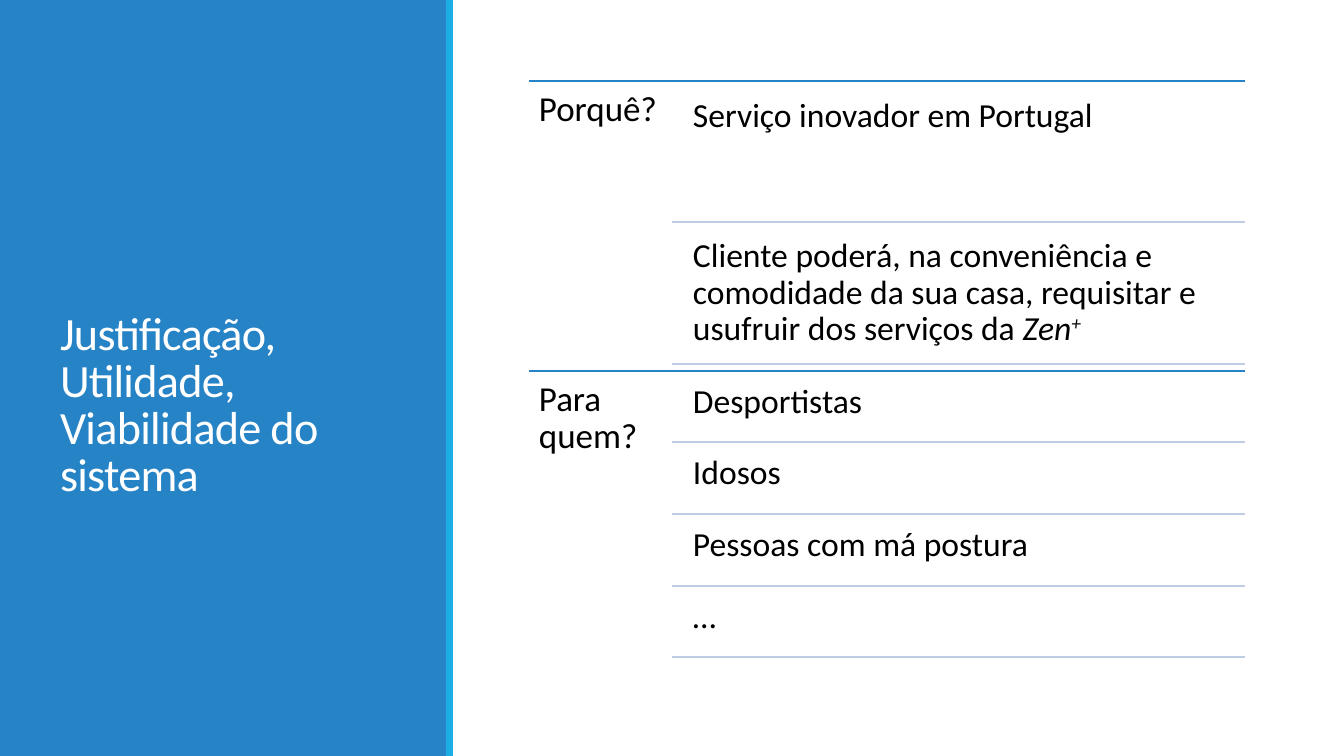
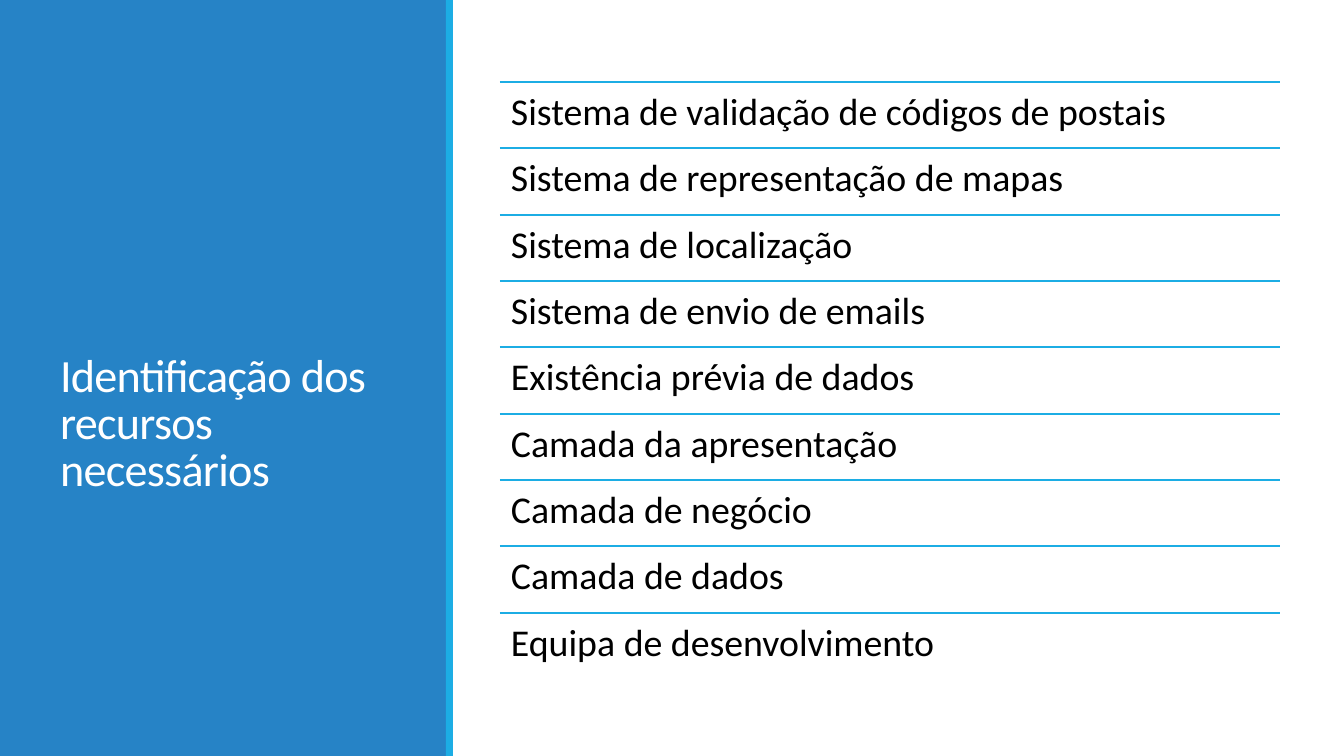
from dataclasses import dataclass

from pptx import Presentation
from pptx.dml.color import RGBColor
from pptx.enum import shapes, text
from pptx.oxml.ns import qn
from pptx.slide import Slide
from pptx.util import Emu, Pt

# Scale, colours and shared style
PIXELS_PER_INCH = 100.8
SLIDE_WIDTH, SLIDE_HEIGHT = 1344, 756
BLUE = RGBColor(0x26, 0x83, 0xC6)
CYAN = RGBColor(0x1C, 0xAD, 0xE4)
PALE_BLUE = RGBColor(0xBE, 0xCD, 0xE5)
BLACK = RGBColor(0x00, 0x00, 0x00)
WHITE = RGBColor(0xFF, 0xFF, 0xFF)
FONT = "Calibri"


@dataclass(frozen=True)
class Box:
    left: int
    top: int
    width: int
    height: int


@dataclass(frozen=True)
class Run:
    text: str
    italic: bool = False
    superscript: bool = False


@dataclass(frozen=True)
class Section:
    question: str
    answers: list[list[Run]]
    top: int
    answers_height: int
    gap: int


BANDS = [(Box(0, 0, 446, SLIDE_HEIGHT), BLUE), (Box(446, 0, 7, SLIDE_HEIGHT), CYAN)]


def px(pixels: float) -> Emu:
    return Emu(round(pixels * 914400 / PIXELS_PER_INCH))


# Drawing functions
def add_text(slide: Slide, box: Box, runs: list[Run], *, size: int,
             color: RGBColor = BLACK, inset: int = 10, vertical_inset: int = 10,
             bottom_inset: int | None = None, line_spacing: float = 0.9,
             tracking: float = 0, anchor=text.MSO_ANCHOR.TOP) -> None:
    shape = slide.shapes.add_textbox(px(box.left), px(box.top), px(box.width), px(box.height))
    frame = shape.text_frame
    frame.word_wrap = True
    frame.vertical_anchor = anchor
    frame.margin_left = frame.margin_right = px(inset)
    frame.margin_top = px(vertical_inset)
    frame.margin_bottom = px(vertical_inset if bottom_inset is None else bottom_inset)
    paragraph = frame.paragraphs[0]
    paragraph.line_spacing = line_spacing
    for item in runs:
        run = paragraph.add_run()
        run.text = item.text
        run.font.name = FONT
        run.font.size = Pt(size)
        run.font.color.rgb = color
        properties = run._r.get_or_add_rPr()
        if item.italic:
            run.font.italic = True
        if item.superscript:
            properties.set("baseline", "30000")
        if tracking:
            properties.set("spc", str(round(tracking * 100)))


def add_rule(slide: Slide, left: int, right: int, top: int, color: RGBColor) -> None:
    rule = slide.shapes.add_connector(
        shapes.MSO_CONNECTOR.STRAIGHT, px(left), px(top), px(right), px(top))
    rule.line.color.rgb = color
    rule.line.width = Pt(1.25)
    properties = rule._element.spPr
    properties.append(properties.makeelement(qn("a:effectLst"), {}))


def add_titled_slide(presentation, title: str, bottom_inset: int) -> Slide:
    slide = presentation.slides.add_slide(presentation.slide_layouts[6])
    for box, color in BANDS:
        band = slide.shapes.add_shape(
            shapes.MSO_SHAPE.RECTANGLE, px(box.left), px(box.top), px(box.width), px(box.height))
        band.shadow.inherit = False
        band.fill.solid()
        band.fill.fore_color.rgb = color
        band.line.fill.background()
    add_text(slide, Box(50, 66, 353, 636), [Run(title)], size=33, color=WHITE,
             vertical_inset=5, bottom_inset=bottom_inset, line_spacing=0.85,
             tracking=-0.5, anchor=text.MSO_ANCHOR.BOTTOM)
    return slide


def add_section(slide: Slide, section: Section) -> None:
    left, answer_left, right = 529, 672, 1245
    text_left = answer_left + 11
    add_rule(slide, left, right, section.top, BLUE)
    add_text(slide, Box(left, section.top, answer_left - left, 289),
             [Run(section.question)], size=25)
    step = section.answers_height / len(section.answers)
    for index, answer in enumerate(section.answers):
        top = round(section.top + index * step)
        bottom = round(section.top + (index + 1) * step)
        box = Box(text_left, top + section.gap, right - text_left, bottom - top - section.gap)
        add_text(slide, box, answer, size=24)
        add_rule(slide, answer_left, right, bottom, PALE_BLUE)


def add_ruled_list(slide: Slide, area: Box, items: list[str]) -> None:
    step = area.height / len(items)
    for index, item in enumerate(items):
        top = round(area.top + index * step)
        add_rule(slide, area.left, area.left + area.width, top, CYAN)
        add_text(slide, Box(area.left, top, area.width, round(step)), [Run(item)],
                 size=27, inset=11, vertical_inset=11)


# Content
SECTIONS = [
    Section("Porquê?", [
        [Run("Serviço inovador em Portugal")],
        [Run("Cliente poderá, na conveniência e comodidade da sua casa, "
             "requisitar e usufruir dos serviços da "),
         Run("Zen", italic=True),
         Run("+", italic=True, superscript=True)],
    ], top=81, answers_height=283, gap=7),
    Section("Para quem?", [
        [Run("Desportistas")],
        [Run("Idosos")],
        [Run("Pessoas com má postura")],
        [Run("…")],
    ], top=371, answers_height=286, gap=3),
]
RESOURCES = [
    "Sistema de validação de códigos de postais",
    "Sistema de representação de mapas",
    "Sistema de localização",
    "Sistema de envio de emails",
    "Existência prévia de dados",
    "Camada da apresentação",
    "Camada de negócio",
    "Camada de dados",
    "Equipa de desenvolvimento",
]

presentation = Presentation()
presentation.slide_width = px(SLIDE_WIDTH)
presentation.slide_height = px(SLIDE_HEIGHT)

# Slide 1: justification
justification = add_titled_slide(
    presentation, "Justificação, Utilidade, Viabilidade do sistema", bottom_inset=218)
for section in SECTIONS:
    add_section(justification, section)

# Slide 2: resources
resources = add_titled_slide(
    presentation, "Identificação dos recursos necessários", bottom_inset=276)
add_ruled_list(resources, Box(500, 82, 780, 597), RESOURCES)

presentation.save("out.pptx")
